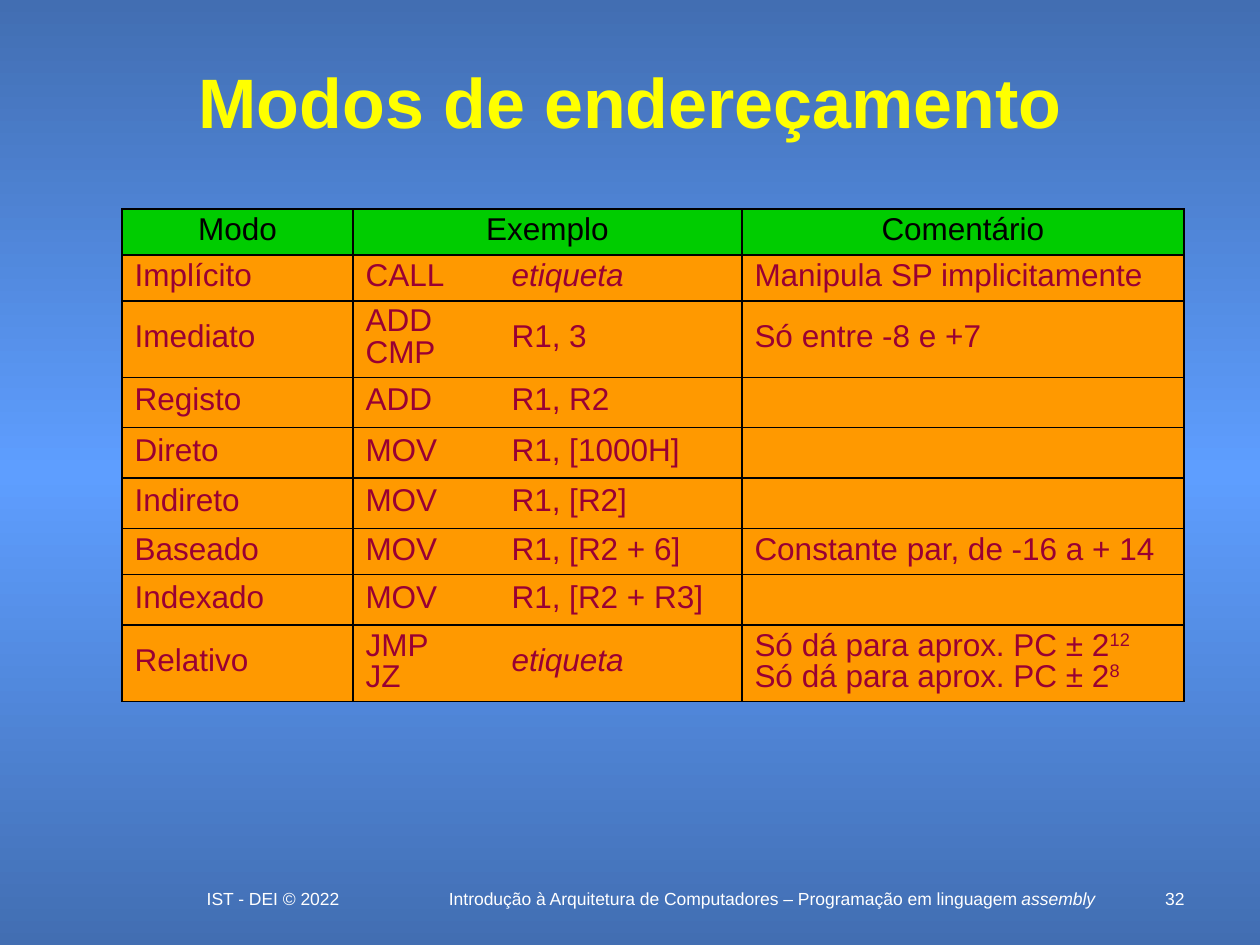
from copy import deepcopy

from lxml.etree import SubElement
from pptx import Presentation
from pptx.dml.color import RGBColor as Rgb
from pptx.enum.text import MSO_ANCHOR as Anchor, PP_ALIGN as Align
from pptx.oxml.ns import qn
from pptx.util import Pt

PX = 914400 // 126
COLORS = {
    "edge": "426EB2", "middle": "5E9EFF", "title": "FFFF00", "footer": "FFFFFF",
    "line": "000000", "header": "00CC00", "header_text": "000000",
    "body": "FF9900", "body_text": "990033",
}
COLUMNS = [231, 146, 243, 442]
ROW_HEIGHT = 46
HEADER = ["Modo", "Exemplo", "", "Comentário"]
LABEL = [("etiqueta", "italic")]
# A cell is a text, or a list of (text, style) spans; "\n" starts a paragraph.
MODES = [
    ["Implícito", "CALL", LABEL, "Manipula SP implicitamente"],
    ["Imediato", "ADD\nCMP", "R1, 3", "Só entre -8 e +7"],
    ["Registo", "ADD", "R1, R2", ""],
    ["Direto", "MOV", "R1, [1000H]", ""],
    ["Indireto", "MOV", "R1, [R2]", ""],
    ["Baseado", "MOV", "R1, [R2 + 6]", "Constante par, de -16 a + 14"],
    ["Indexado", "MOV", "R1, [R2 + R3]", ""],
    ["Relativo", "JMP\nJZ", LABEL,
     [("Só dá para aprox. PC ± 2", ""), ("12", "super"),
      ("\nSó dá para aprox. PC ± 2", ""), ("8", "super")]],
]


def rgb(name):
    return Rgb.from_string(COLORS[name])


def write(frame, content, *, size, color, bold=False, align=Align.LEFT,
          spacing=None, before=0):
    spans = [(content, "")] if isinstance(content, str) else content
    para = frame.paragraphs[0]
    paras = [para]
    for text, style in spans:
        for index, part in enumerate(text.split("\n")):
            if index:
                para = frame.add_paragraph()
                para.space_before = Pt(before)
                paras.append(para)
            if not part:
                continue
            span = para.add_run()
            span.text = part
            font = span.font
            font.name, font.size, font.bold = "Arial", Pt(size), bold
            font.italic = style == "italic"
            font.color.rgb = rgb(color)
            if style == "super":
                span._r.get_or_add_rPr().set("baseline", "30000")
    for para in paras:
        para.alignment = align
        if spacing and para.runs:
            para.line_spacing = spacing


def add_text(page, box, content, **style):
    frame = page.shapes.add_textbox(*(value * PX for value in box)).text_frame
    frame.word_wrap = True
    frame.vertical_anchor = Anchor.TOP
    write(frame, content, **style)
    return frame


def paint_background(page):
    fill = page.background.fill
    fill.gradient()
    fill.gradient_angle = 270
    stops = page._element.find(".//" + qn("a:gsLst"))
    stops.append(deepcopy(stops[0]))
    for stop, position, color in zip(fill.gradient_stops, (0, 0.5, 1),
                                     ("edge", "middle", "edge")):
        stop.position = position
        stop.color.rgb = rgb(color)


def draw_borders(cell, hidden):
    """Outline a cell in black, leaving out the sides named in hidden."""
    properties = cell._tc.get_or_add_tcPr()
    for side in "LRTB":
        line = SubElement(properties, qn(f"a:ln{side}"), w=str(Pt(1)))
        if side in hidden:
            SubElement(line, qn("a:noFill"))
        else:
            solid = SubElement(line, qn("a:solidFill"))
            SubElement(solid, qn("a:srgbClr"), val=COLORS["line"])


def add_modes_table(page, left, top):
    rows = [HEADER] + MODES
    table = page.shapes.add_table(
        len(rows), len(COLUMNS), left * PX, top * PX,
        sum(COLUMNS) * PX, len(rows) * ROW_HEIGHT * PX).table
    table.first_row = table.horz_banding = False
    for column, width in zip(table.columns, COLUMNS):
        column.width = width * PX
    for row_index, row in enumerate(rows):
        table.rows[row_index].height = ROW_HEIGHT * PX
        kind = "body" if row_index else "header"
        for column_index, content in enumerate(row):
            cell = table.cell(row_index, column_index)
            draw_borders(cell, {1: "R", 2: "L"}.get(column_index, ""))
            cell.fill.solid()
            cell.fill.fore_color.rgb = rgb(kind)
            cell.vertical_anchor = Anchor.MIDDLE
            write(cell.text_frame, content, size=18, color=f"{kind}_text",
                  align=Align.LEFT if row_index else Align.CENTER,
                  spacing=0.8, before=1.8)
    table.cell(0, 1).merge(table.cell(0, 2))


def add_title(page, box):
    frame = add_text(page, box, "Modos de endereçamento", size=40,
                     color="title", bold=True, align=Align.CENTER)
    frame.vertical_anchor = Anchor.MIDDLE


def add_footer(page, top):
    course = [("Introdução à Arquitetura de Computadores – "
               "Programação em linguagem ", ""), ("assembly", "italic")]
    for left, width, height, content, align in [
        (435, 674, 32, course, Align.CENTER),
        (1144, 53, 21, "32", Align.RIGHT),
        (168, 210, 32, "IST - DEI © 2022", Align.CENTER),
    ]:
        add_text(page, (left, top, width, height), content, size=10,
                 color="footer", align=align)


def main():
    deck = Presentation()
    deck.slide_width, deck.slide_height = 1260 * PX, 945 * PX
    page = deck.slides.add_slide(deck.slide_layouts[6])
    paint_background(page)
    add_footer(page, 882)
    add_title(page, (84, 53, 1092, 95))
    add_modes_table(page, 122, 209)
    deck.save("out.pptx")


if __name__ == "__main__":
    main()
